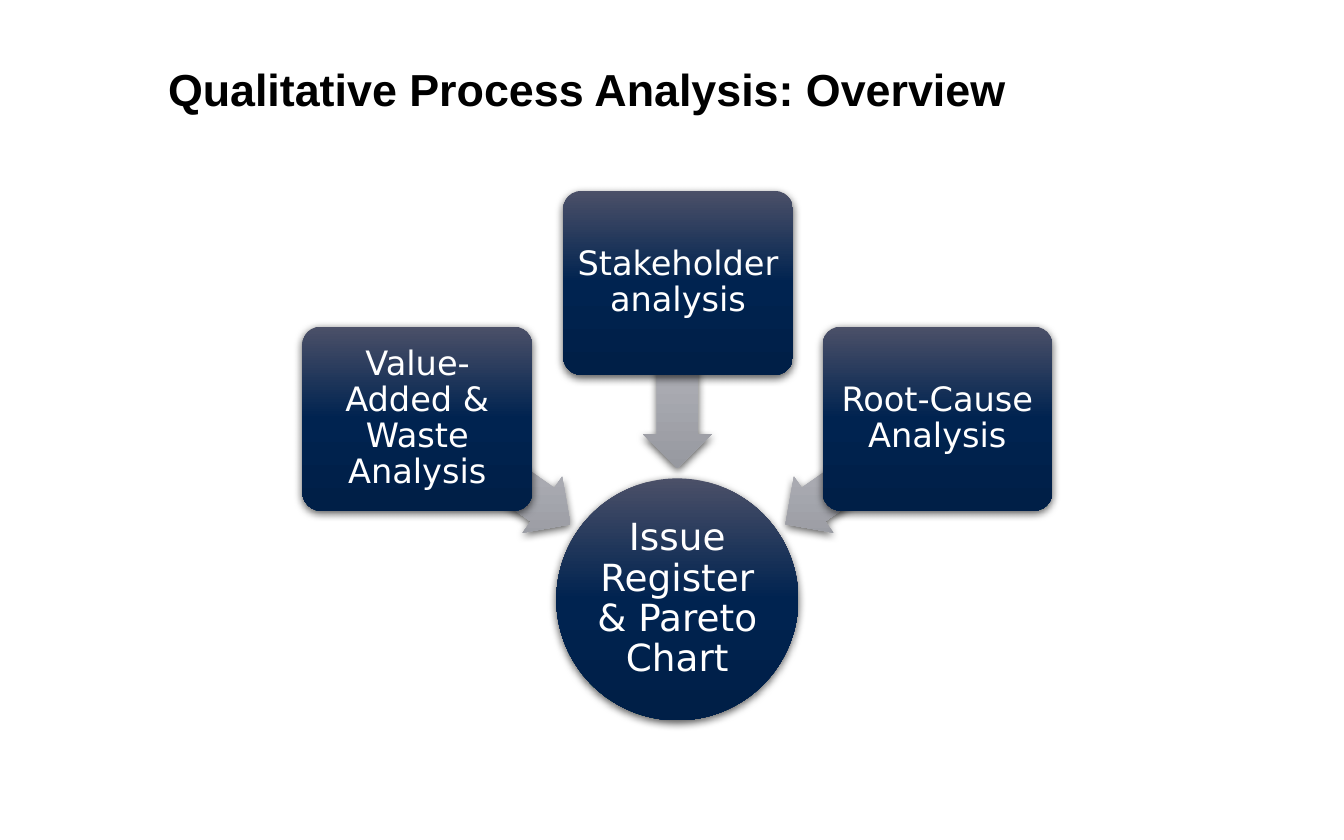
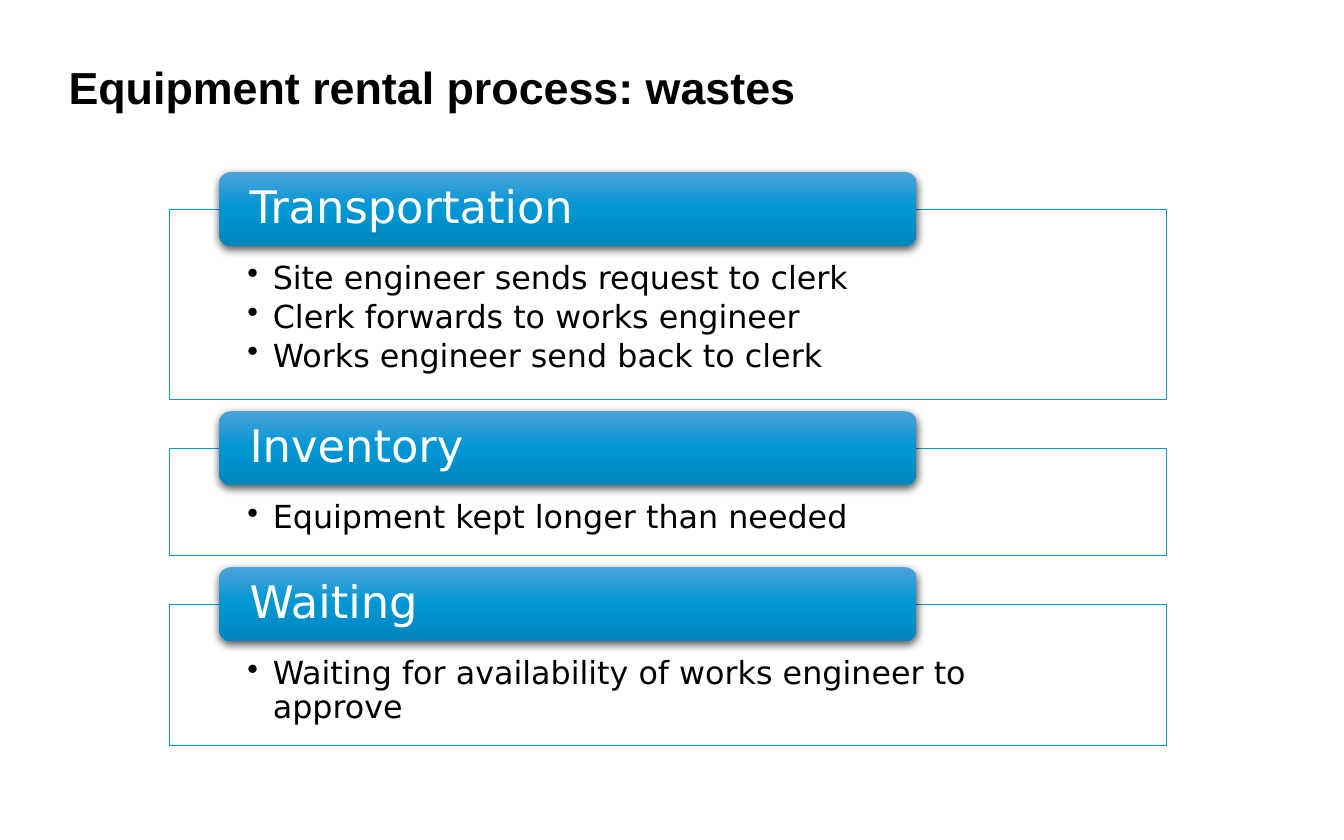
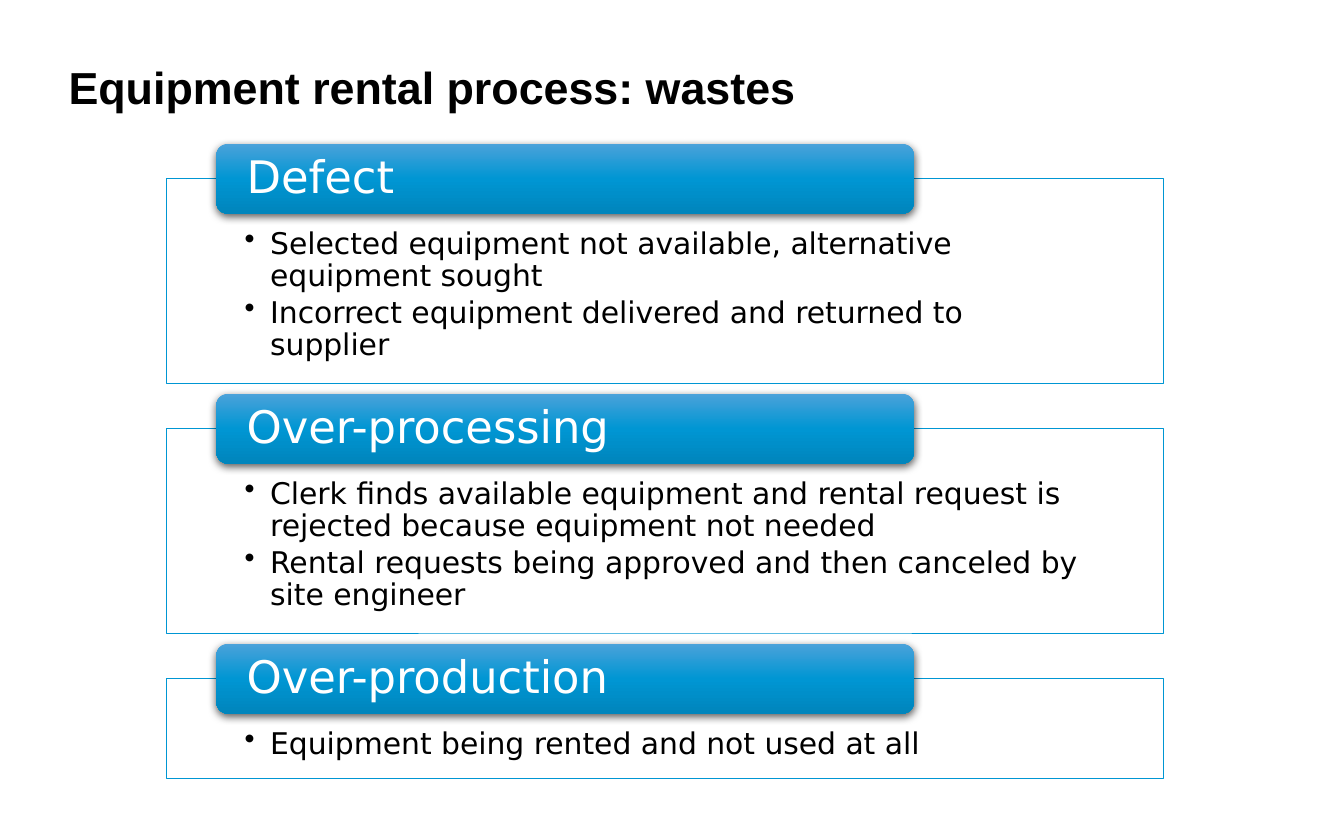
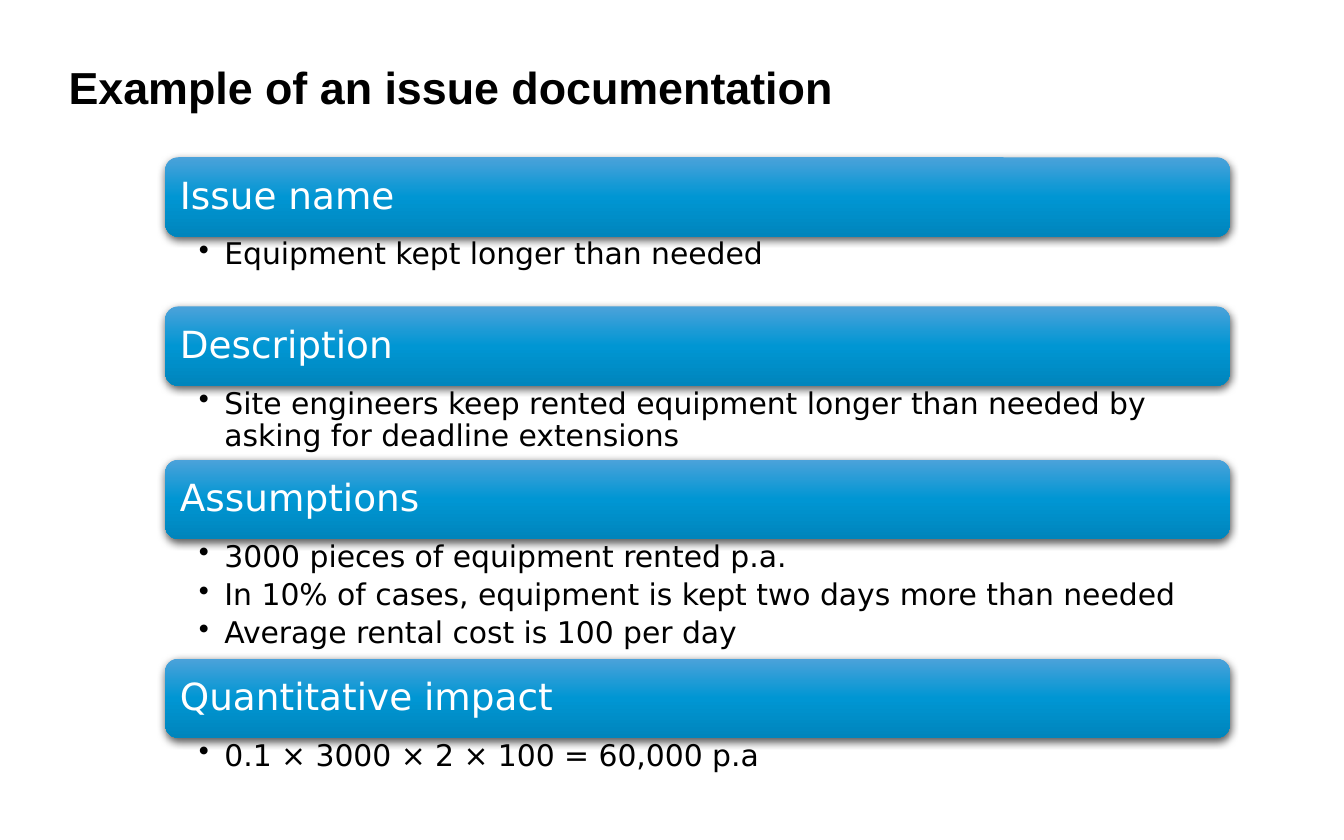
import dataclasses

import lxml.etree
import pptx
import pptx.dml.color
import pptx.enum.shapes
import pptx.enum.text
import pptx.oxml.ns
import pptx.util

PX = 9144  # EMU per px, 100 px to the inch
SHAPE = pptx.enum.shapes.MSO_SHAPE
ALIGN = pptx.enum.text.PP_ALIGN
ANCHOR = pptx.enum.text.MSO_ANCHOR
qn = pptx.oxml.ns.qn


@dataclasses.dataclass(frozen=True)
class Theme:
    title_font: str = "Arial"
    font: str = "DejaVu Sans"
    black: str = "000000"
    white: str = "FFFFFF"
    accent: str = "0096D3"
    blue: tuple = ("4BA2DA", "0096D3", "0085BC")
    navy: tuple = ("4B5068", "002350", "001F47")
    grey: tuple = ("B5B6BC", "ABACB3", "9799A0")
    title_size: int = 24
    bar_size: int = 24
    circle_size: int = 20
    heading_size: int = 20
    box_size: int = 18
    list_size: int = 16
    large_list_size: int = 17


def rgb(value):
    return pptx.dml.color.RGBColor.from_string(value)


def add_xml(parent, tag, **attributes):
    return lxml.etree.SubElement(parent, qn(tag), attributes)


class Deck:
    def __init__(self, theme, width, height):
        self.theme = theme
        self.prs = pptx.Presentation()
        self.prs.slide_width, self.prs.slide_height = width * PX, height * PX
        self.s = None

    def slide(self, title, x=51, y=15, w=748, h=99):
        t = self.theme
        self.s = self.prs.slides.add_slide(self.prs.slide_layouts[5])
        sp = self.s.shapes.title
        sp.left, sp.top, sp.width, sp.height = (v * PX for v in (x, y, w, h))
        tf = self.frame_text(sp, (0, 0, 0, 0), ANCHOR.MIDDLE)
        p = tf.paragraphs[0]
        p.alignment = ALIGN.LEFT
        self.run(p, title, t.title_size, t.black, t.title_font, bold=True)

    def frame_text(self, sp, insets, anchor):
        tf = sp.text_frame
        tf.word_wrap = True
        tf.auto_size = pptx.enum.text.MSO_AUTO_SIZE.NONE
        tf.vertical_anchor = anchor
        tf.margin_left, tf.margin_top, tf.margin_right, tf.margin_bottom = (
            v * PX for v in insets)
        return tf

    def run(self, p, text, size, color, font=None, bold=False):
        r = p.add_run()
        r.text = text
        r.font.name = font or self.theme.font
        r.font.size = pptx.util.Pt(size)
        r.font.bold = bold
        r.font.color.rgb = rgb(color)

    def glossy(self, kind, box, colors, adjustments=(), rotation=0):
        """Add a borderless shape with a vertical gradient and a soft shadow."""
        sp = self.s.shapes.add_shape(kind, *(v * PX for v in box))
        for i, value in enumerate(adjustments):
            sp.adjustments[i] = value
        sp.rotation = rotation
        sp.line.fill.background()
        sp.shadow.inherit = False
        sp.fill.background()
        props = sp._element.spPr
        grad = lxml.etree.Element(qn("a:gradFill"), {"rotWithShape": "0"})
        stops = add_xml(grad, "a:gsLst")
        for position, color in zip((0, 50000, 100000), colors):
            stop = add_xml(stops, "a:gs", pos=str(position))
            add_xml(stop, "a:srgbClr", val=color)
        add_xml(grad, "a:lin", ang="5400000", scaled="0")
        props.replace(props.find(qn("a:noFill")), grad)
        shadow = add_xml(props.find(qn("a:effectLst")), "a:outerShdw", blurRad="57150",
                         dist="19050", dir="5400000", rotWithShape="0")
        shadow_color = add_xml(shadow, "a:srgbClr", val=self.theme.black)
        add_xml(shadow_color, "a:alpha", val="63000")
        return sp

    def label(self, sp, text, size, insets, align=ALIGN.LEFT):
        tf = self.frame_text(sp, insets, ANCHOR.MIDDLE)
        p = tf.paragraphs[0]
        p.alignment = align
        p.line_spacing = 0.9
        p.space_after = pptx.util.Pt(0.35 * size)
        self.run(p, text, size, self.theme.white)

    def bullets(self, sp, items, size, insets, gap):
        """Fill a shape with a list; gap is the space after, as a share of the size."""
        tf = self.frame_text(sp, insets, ANCHOR.TOP)
        for i, item in enumerate(items):
            p = tf.add_paragraph() if i else tf.paragraphs[0]
            p.level = 1
            p.alignment = ALIGN.LEFT
            p.line_spacing = 0.9
            p.space_after = pptx.util.Pt(gap * size)
            props = p._p.get_or_add_pPr()
            props.set("marL", str(19 * PX))
            props.set("indent", str(-19 * PX))
            add_xml(props, "a:buChar", char="•")
            self.run(p, item, size, self.theme.black)

    def outline(self, box):
        sp = self.s.shapes.add_shape(SHAPE.RECTANGLE, *(v * PX for v in box))
        sp.shadow.inherit = False
        sp.fill.solid()
        sp.fill.fore_color.rgb = rgb(self.theme.white)
        color = sp._element.spPr.find(qn("a:solidFill"))[0]
        add_xml(color, "a:alpha", val="90000")
        sp.line.color.rgb = rgb(self.theme.accent)
        sp.line.width = pptx.util.Pt(0.5)
        return sp

    def text_box(self, box):
        return self.s.shapes.add_textbox(*(v * PX for v in box))


def overview_slide(deck):
    t = deck.theme
    deck.slide("Qualitative Process Analysis: Overview", 125, 14, 750, 104)
    circle = deck.glossy(SHAPE.OVAL, (414, 356, 180, 180), t.navy)
    deck.label(circle, "Issue Register & Pareto Chart", t.circle_size, (1, 1, 1, 1),
               ALIGN.CENTER)
    inputs = [
        ("Value-Added & Waste Analysis", (225, 243), (299, 325), 215.1),
        ("Stakeholder analysis", (419, 142), (435, 254), 270),
        ("Root-Cause Analysis", (612, 243), (572, 325), 325),
    ]
    for text, box_at, arrow_at, rotation in inputs:
        deck.glossy(SHAPE.LEFT_ARROW, (*arrow_at, 138, 51), t.grey, (0.6, 0.5), rotation)
        box = deck.glossy(SHAPE.ROUNDED_RECTANGLE, (*box_at, 171, 137), t.navy, (0.1,))
        deck.label(box, text, t.box_size, (4, 4, 4, 4), ALIGN.CENTER)


def wastes_slide(deck, wastes, x, y, gap, bar_height, list_size):
    """Stack outlined lists, each with a bar straddling its top edge."""
    t = deck.theme
    deck.slide("Equipment rental process: wastes")
    for name, height, items in wastes:
        frame = deck.outline((x, y, 742, height))
        deck.bullets(frame, items, list_size,
                     (58, bar_height * 7 // 10 + 1, 58, bar_height // 4), 0.15)
        bar = deck.glossy(SHAPE.ROUNDED_RECTANGLE,
                          (x + 37, y - (bar_height + 1) // 2, 519, bar_height), t.blue)
        deck.label(bar, name, t.bar_size, (20, 0, 20, 0))
        y += height + gap


def issue_slide(deck):
    t = deck.theme
    deck.slide("Example of an issue documentation")
    sections = [
        ("Issue name", 52, ["Equipment kept longer than needed"]),
        ("Description", 55, ["Site engineers keep rented equipment longer than needed by "
                             "asking for deadline extensions"]),
        ("Assumptions", 89, ["3000 pieces of equipment rented p.a.",
                             "In 10% of cases, equipment is kept two days more than needed",
                             "Average rental cost is 100 per day"]),
        ("Quantitative impact", 53, ["0.1 × 3000 × 2 × 100 = 60,000 p.a"]),
    ]
    x, y, width, bar_height = 123, 117, 792, 59
    for name, height, items in sections:
        bar = deck.glossy(SHAPE.ROUNDED_RECTANGLE, (x, y, width, bar_height), t.blue)
        deck.label(bar, name, t.heading_size, (8, 8, 8, 8))
        y += bar_height
        deck.bullets(deck.text_box((x, y, width, height)), items, t.list_size,
                     (25, 2, 12, 2), 0.2)
        y += height


def main():
    theme = Theme()
    deck = Deck(theme, 1000, 625)
    overview_slide(deck)
    wastes_slide(deck, [
        ("Transportation", 141, ["Site engineer sends request to clerk",
                                 "Clerk forwards to works engineer",
                                 "Works engineer send back to clerk"]),
        ("Inventory", 79, ["Equipment kept longer than needed"]),
        ("Waiting", 105, ["Waiting for availability of works engineer to approve"]),
    ], x=126, y=156, gap=37, bar_height=55, list_size=theme.large_list_size)
    wastes_slide(deck, [
        ("Defect", 152, ["Selected equipment not available, alternative equipment sought",
                         "Incorrect equipment delivered and returned to supplier"]),
        ("Over-processing", 152, ["Clerk finds available equipment and rental request is "
                                  "rejected because equipment not needed",
                                  "Rental requests being approved and then canceled by "
                                  "site engineer"]),
        ("Over-production", 74, ["Equipment being rented and not used at all"]),
    ], x=124, y=133, gap=34, bar_height=52, list_size=theme.list_size)
    issue_slide(deck)
    deck.prs.save("out.pptx")


if __name__ == "__main__":
    main()
